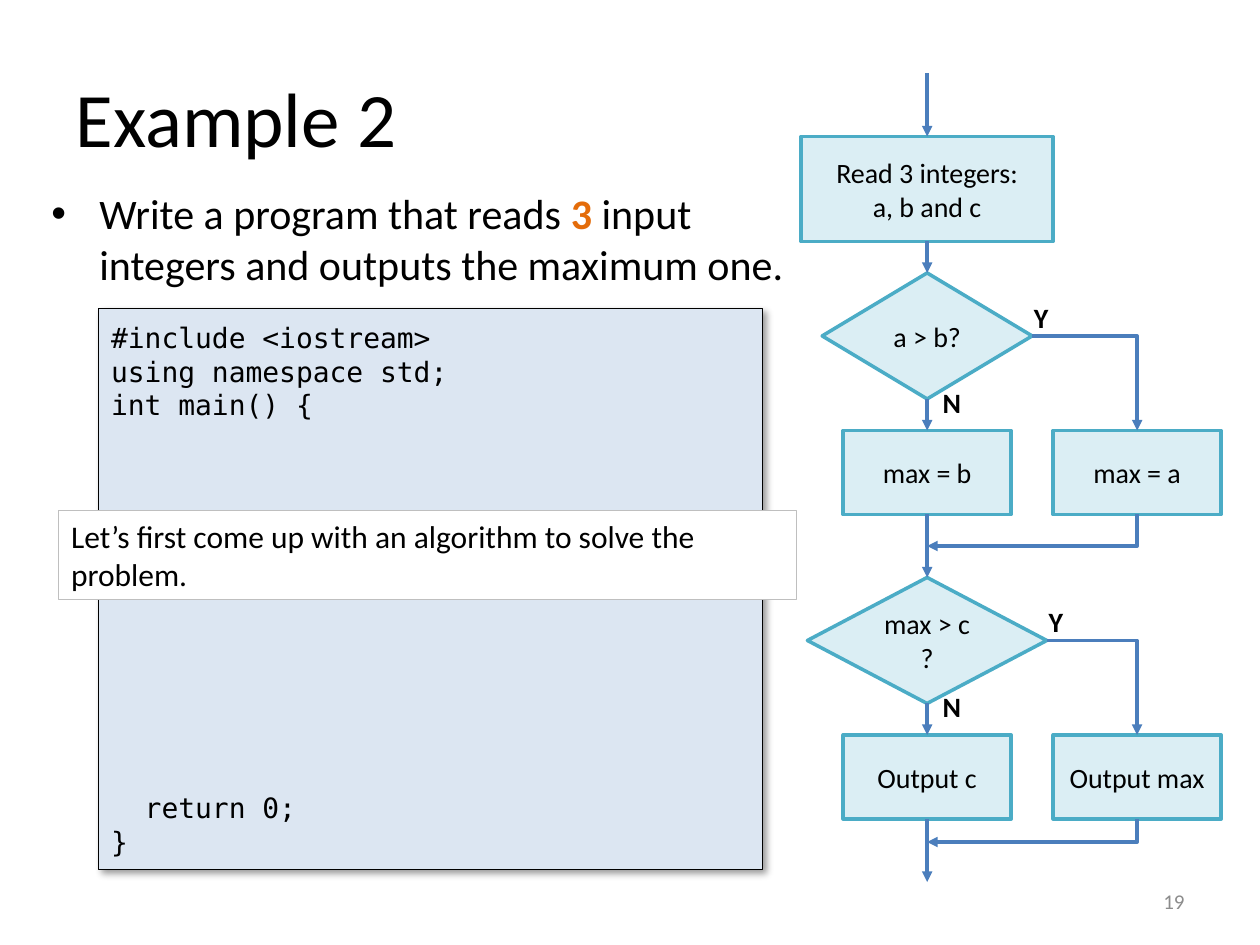
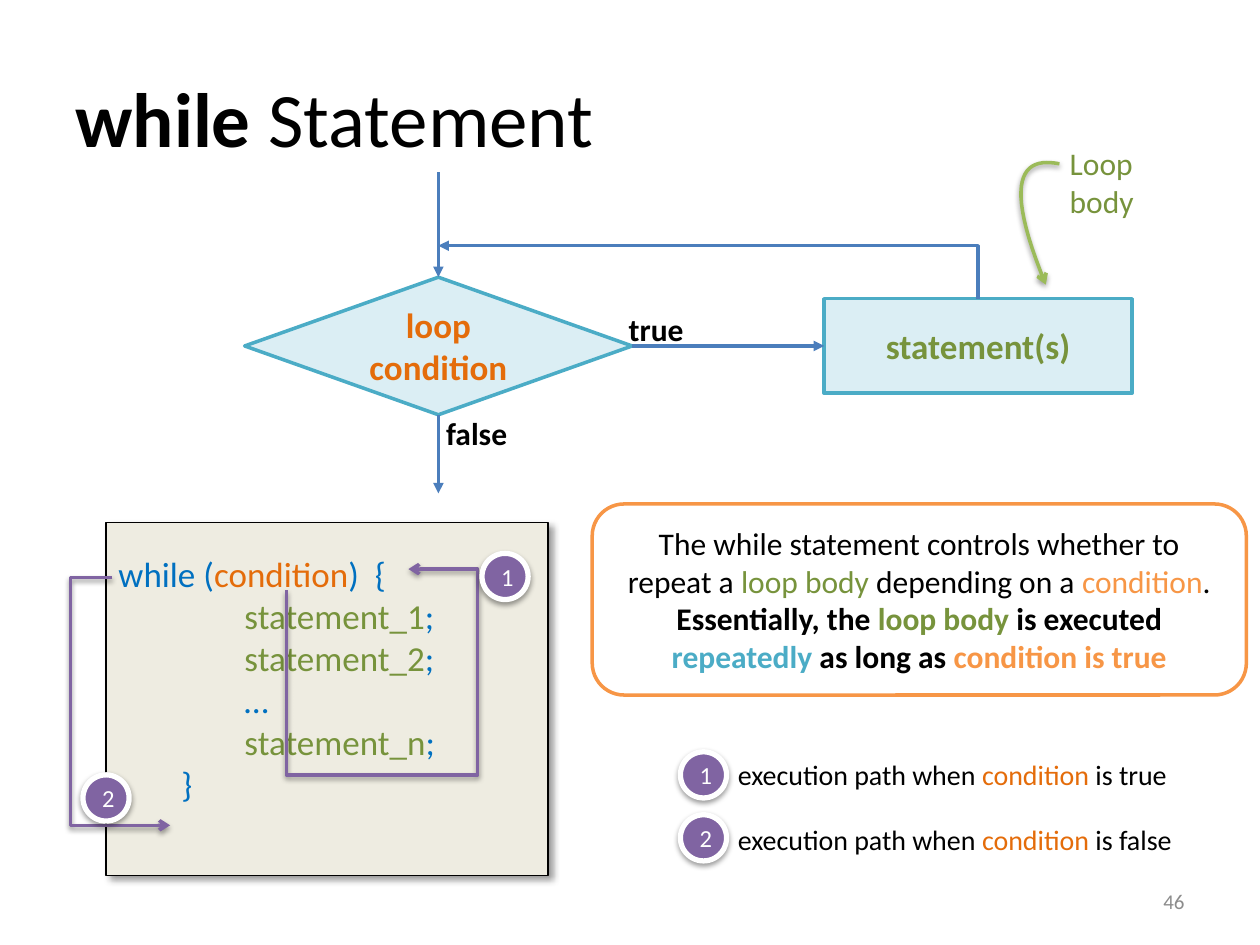
from dataclasses import dataclass

from lxml import etree
from pptx import Presentation
from pptx import util as u
from pptx.dml.color import RGBColor
from pptx.enum import shapes, text
from pptx.oxml.ns import qn

CELL = u.Inches(1 / 12)  # the slide is a grid of 120 x 90 cells
BLACK, WHITE, GREY = "000000", "FFFFFF", "8C8C8C"
ORANGE, AMBER, GREEN, CODE_BLUE = "E46C0A", "F79646", "77933C", "0070C0"
PURPLE, LIME, TEAL, PALE_TEAL, ARROW_BLUE = "8064A2", "9BBB59", "4BACC6", "DBEEF4", "4B7EBC"
SANS, MONO = "Calibri", "DejaVu Sans Mono"
PANEL_SHADOW = dict(alpha=40, blur=4, distance=3, angle=45)
SOFT_SHADOW = dict(alpha=38, blur=3.1, distance=1.6, angle=90)
TOP, LEFT, BOTTOM, RIGHT = range(4)
LEFT_ALIGN, CENTER, RIGHT_ALIGN = text.PP_ALIGN.LEFT, text.PP_ALIGN.CENTER, text.PP_ALIGN.RIGHT
MIDDLE = text.MSO_ANCHOR.MIDDLE
PRESET = shapes.MSO_SHAPE


@dataclass
class Area:
    """A box measured in grid cells."""
    left: float
    top: float
    width: float
    height: float

    def inner(self, x, y, width, height):
        return Area(self.left + x, self.top + y, width, height)

    def centred(self, x, y, width, height):
        return self.inner(x - width / 2, y, width, height)

    def point(self, x, y):
        return cells(self.left + x), cells(self.top + y)

    def emu(self):
        return [cells(v) for v in (self.left, self.top, self.width, self.height)]


def cells(count):
    return round(count * CELL)


def colour(hex_string):
    return RGBColor.from_string(hex_string)


def write(box, paragraphs, size, ink=BLACK, align=LEFT_ALIGN, bold=False, font=SANS):
    """Each paragraph is a string or a list of strings and (text, colour[, bold]) spans."""
    frame = box.text_frame
    for index, spans in enumerate(paragraphs):
        para = frame.paragraphs[0] if index == 0 else frame.add_paragraph()
        para.alignment = align
        para.font.size, para.font.name, para.font.bold = u.Pt(size), font, bold
        para.font.color.rgb = colour(ink)
        for item in [spans] if isinstance(spans, str) else spans:
            words, span_ink, *weight = (item, None) if isinstance(item, str) else item
            span = para.add_run()
            span.text = words
            if span_ink:
                span.font.color.rgb = colour(span_ink)
            if weight:
                span.font.bold = weight[0]
    return frame


def style(shape, fill, line, weight, shadow=None):
    shape.shadow.inherit = False
    if fill:
        shape.fill.solid()
        shape.fill.fore_color.rgb = colour(fill)
    else:
        shape.fill.background()
    shape.line.color.rgb = colour(line)
    shape.line.width = u.Pt(weight)
    if shadow:
        effects = shape.element.spPr.find(qn("a:effectLst"))
        outer = etree.SubElement(
            effects, qn("a:outerShdw"), blurRad=str(u.Pt(shadow["blur"])),
            dist=str(u.Pt(shadow["distance"])), dir=str(shadow["angle"] * 60000),
            algn="ctr", rotWithShape="0")
        tint = etree.SubElement(outer, qn("a:srgbClr"), val=BLACK)
        etree.SubElement(tint, qn("a:alpha"), val=str(shadow["alpha"] * 1000))


def add_arrowhead(shape, end, kind):
    etree.SubElement(shape.element.spPr.find(qn("a:ln")), qn(f"a:{end}"), type=kind)


def panel(page, preset, area, fill, line, weight, shadow=None):
    shape = page.shapes.add_shape(preset, *area.emu())
    style(shape, fill, line, weight, shadow)
    shape.text_frame.word_wrap = True
    shape.text_frame.vertical_anchor = MIDDLE
    return shape


def flow_box(page, preset, area, *lines, size=16, ink=BLACK, bold=False):
    shape = panel(page, preset, area, PALE_TEAL, TEAL, 2)
    write(shape, lines, size, ink, CENTER, bold)
    return shape


def label(page, area, spans, size, ink=BLACK, bold=False):
    box = page.shapes.add_textbox(*area.emu())
    box.text_frame.word_wrap = False
    write(box, [spans], size, ink, bold=bold)


def link(page, start, end, bent=False, arrow="tailEnd"):
    """Joins two ends, each an (x, y) point or a (shape, side) pair.

    A bent link runs across first, then up or down."""
    def joined(finish):
        return hasattr(finish[0], "shape_id")

    def place(finish):
        if not joined(finish):
            return finish
        shape, side = finish
        return (shape.left + round(shape.width * (0.5, 0, 0.5, 1)[side]),
                shape.top + round(shape.height * (0, 0.5, 1, 0.5)[side]))

    kind = shapes.MSO_CONNECTOR.ELBOW if bent else shapes.MSO_CONNECTOR.STRAIGHT
    line = page.shapes.add_connector(kind, *place(start), *place(end))
    if joined(start):
        line.begin_connect(*start)
    if joined(end):
        line.end_connect(*end)
    if bent:
        line.element.spPr.find(qn("a:prstGeom")).set("prst", "bentConnector2")
    line.line.color.rgb = colour(ARROW_BLUE)
    line.line.width = u.Pt(2)
    add_arrowhead(line, arrow, "triangle")
    etree.SubElement(line.element.spPr, qn("a:effectLst"))


def trail(page, points, ink):
    """Draws an open line through the points, with an arrowhead at its end."""
    builder = page.shapes.build_freeform(*points[0])
    builder.add_line_segments(points[1:], close=False)
    shape = builder.convert_to_shape()
    style(shape, None, ink, 2, SOFT_SHADOW)
    add_arrowhead(shape, "tailEnd", "arrow")


def curve(start, pull, push, end, steps=24):
    """Points along a cubic Bezier curve."""
    ratios = [step / steps for step in range(steps + 1)]
    return [tuple(round((1 - t) ** 3 * a + 3 * t * (1 - t) ** 2 * b
                        + 3 * t * t * (1 - t) * c + t ** 3 * d)
                  for a, b, c, d in zip(start, pull, push, end)) for t in ratios]


def badge(page, area, number):
    shape = panel(page, PRESET.OVAL, area, PURPLE, WHITE, 3, SOFT_SHADOW)
    write(shape, [number], 14, WHITE, CENTER)


def move(holder, area):
    holder.left, holder.top, holder.width, holder.height = area.emu()


def new_page(deck, layout, title, number):
    page = deck.slides.add_slide(deck.slide_layouts[layout])
    heading = page.shapes.title
    move(heading, Area(6, 3.6, 108, 15))
    write(heading, [title], 44).vertical_anchor = MIDDLE
    footer = page.shapes.add_textbox(*Area(86, 83.4, 28, 4.8).emu())
    frame = write(footer, [number], 12, GREY, RIGHT_ALIGN)
    frame.word_wrap, frame.vertical_anchor = True, MIDDLE
    return page


def task_list(page, area):
    body = page.placeholders[1]
    move(body, area)
    task = ["Write a program that reads ", ("3", ORANGE, True),
            " input integers and outputs the maximum one."]
    para = body.text_frame.paragraphs[0]
    props = para._p.get_or_add_pPr()
    props.set("marL", str(u.Inches(0.38)))
    props.set("indent", str(-u.Inches(0.38)))
    etree.SubElement(props, qn("a:buChar"), char="•")
    para.space_before = u.Pt(0)
    write(body, [task], 24)


def decision(page, area, trunk, side, question, width, no, yes, merge):
    """A question with two outcomes; the yes branch rejoins the trunk at row merge."""
    diamond = flow_box(page, PRESET.FLOWCHART_DECISION,
                       area.centred(trunk, 0, width, 12), *question)
    no_box, yes_box = [flow_box(page, PRESET.RECTANGLE, area.centred(x, 15, 16, 8), words)
                       for x, words in ((trunk, no), (side, yes))]
    link(page, (diamond, BOTTOM), (no_box, TOP))
    link(page, (diamond, RIGHT), (yes_box, TOP), bent=True)
    link(page, area.point(trunk, merge), (yes_box, BOTTOM), bent=True, arrow="headEnd")
    label(page, area.inner(trunk + 0.3, 10.1, 4.2, 4.4), "N", 16, bold=True)
    label(page, area.inner(trunk + width / 2 - 1, 2, 4.1, 4.4), "Y", 16, bold=True)
    return diamond, no_box


def maximum_flowchart(page, area):
    trunk, side = 12, 32
    read = flow_box(page, PRESET.RECTANGLE, area.centred(trunk, 6, 24, 10),
                    "Read 3 integers:", "a, b and c")
    first, keep_b = decision(page, area.inner(0, 19, 40, 26), trunk, side,
                             ["a > b?"], 20, "max = b", "max = a", 26)
    second, output = decision(page, area.inner(0, 48, 40, 26), trunk, side,
                              ["max > c", "?"], 22.8, "Output c", "Output max", 25.2)
    link(page, area.point(trunk, 0), (read, TOP))
    link(page, (read, BOTTOM), (first, TOP))
    link(page, (keep_b, BOTTOM), (second, TOP))
    link(page, (output, BOTTOM), area.point(trunk, 77))


def program_listing(page, area):
    box = panel(page, PRESET.RECTANGLE, area, "DCE6F2", BLACK, 0.75, PANEL_SHADOW)
    code = ["#include <iostream>", "using namespace std;", "int main() {", "  return 0;", "}"]
    frame = write(box, code, 16, font=MONO)
    frame.paragraphs[3].space_before = u.Pt(211)  # room for the missing program lines


def hint(page, area):
    box = panel(page, PRESET.RECTANGLE, area, WHITE, "BFBFBF", 0.75)
    write(box, ["Let’s first come up with an algorithm to solve the problem."], 18)


def loop_flowchart(page, area):
    test = flow_box(page, PRESET.FLOWCHART_DECISION, area.inner(0, 10, 36.9, 13.1),
                    "loop condition", size=20, ink=ORANGE, bold=True)
    body = flow_box(page, PRESET.FLOWCHART_PROCESS, area.inner(55.2, 12.05, 29.3, 9),
                    "statement(s)", size=20, ink=GREEN, bold=True)
    trunk = 36.9 / 2
    link(page, area.point(trunk, 0), (test, TOP))
    link(page, area.point(trunk, 7), (body, TOP), bent=True, arrow="headEnd")
    link(page, (test, BOTTOM), area.point(trunk, 30.6))
    link(page, (test, RIGHT), (body, LEFT))
    label(page, area.inner(35.4, 12.5, 7.7, 4.8), "true", 18, bold=True)
    label(page, area.inner(18, 22.4, 8.3, 4.8), "false", 18, bold=True)
    label(page, area.inner(77.4, -3.3, 15.1, 4.8), "Loop body", 18, GREEN)
    bends = [(77.6, -0.8), (74.1, -1.5), (72.1, 0.5), (76.3, 10.7)]
    trail(page, curve(*[area.point(*bend) for bend in bends]), LIME)


def while_listing(page, area):
    box = panel(page, PRESET.RECTANGLE, area, "EEECE1", BLACK, 0.75, PANEL_SHADOW)
    statements = [[(f"statement_{n}", GREEN), ";"] for n in "12n"]
    code = [["while (", ("condition", ORANGE), ")  {"], *statements[:2], "…", statements[2], "}"]
    frame = write(box, code, 20, CODE_BLUE)
    frame.margin_bottom = u.Inches(0.38)
    for para, indent in zip(frame.paragraphs, (0, 1, 1, 1, 1, 0.5)):
        para._p.get_or_add_pPr().set("marL", str(u.Inches(indent)))
    repeat = [(17.2, 6.4), (17.2, 24), (35.4, 24), (35.4, 4.4), (28.8, 4.4)]
    leave = [(0.6, 5.2), (-3.4, 5.2), (-3.4, 28.8), (6.1, 28.8)]
    spots = [(35.8, 2.9), (-2.2, 24)]
    for number, (route, spot) in enumerate(zip((repeat, leave), spots), 1):
        trail(page, [area.point(*corner) for corner in route], PURPLE)
        badge(page, area.inner(*spot, 4.4, 4.4), str(number))


def summary(page, area):
    box = panel(page, PRESET.ROUNDED_RECTANGLE, area, WHITE, AMBER, 2)
    rule = ["The while statement controls whether to repeat a ", ("loop body", GREEN),
            " depending on a ", ("condition", AMBER), "."]
    essence = ["Essentially, the ", ("loop body", GREEN), " is executed ",
               ("repeatedly", TEAL), " as long as ", ("condition is true", AMBER)]
    frame = write(box, [rule, essence], 18, align=CENTER)
    frame.paragraphs[1].font.bold = True


def legend(page, area):
    for row, outcome in enumerate(("true", "false")):
        badge(page, area.inner(0, row * 6, 4.4, 4.4), str(row + 1))
        label(page, area.inner(4.3, row * 6.1, 44.4, 4.4),
              ["execution path when ", ("condition", ORANGE), f" is {outcome}"], 16)


def main():
    deck = Presentation()
    deck.slide_width, deck.slide_height = cells(120), cells(90)

    page = new_page(deck, 1, "Example 2", "19")
    task_list(page, Area(3.7, 17.3, 73.1, 64.4))
    maximum_flowchart(page, Area(76.3, 7, 40, 77))
    program_listing(page, Area(9.4, 29.4, 63.2, 53.4))
    hint(page, Area(5.6, 48.6, 70.3, 8.5))

    page = new_page(deck, 5, [("while", BLACK, True), " Statement"], "46")
    loop_flowchart(page, Area(23.3, 16.4, 92.5, 30.6))
    while_listing(page, Area(10.1, 49.8, 42.1, 33.6))
    summary(page, Area(56.4, 48, 62.3, 18.2))
    legend(page, Area(64.8, 71.6, 48.7, 10.5))

    deck.save("out.pptx")


if __name__ == "__main__":
    main()
